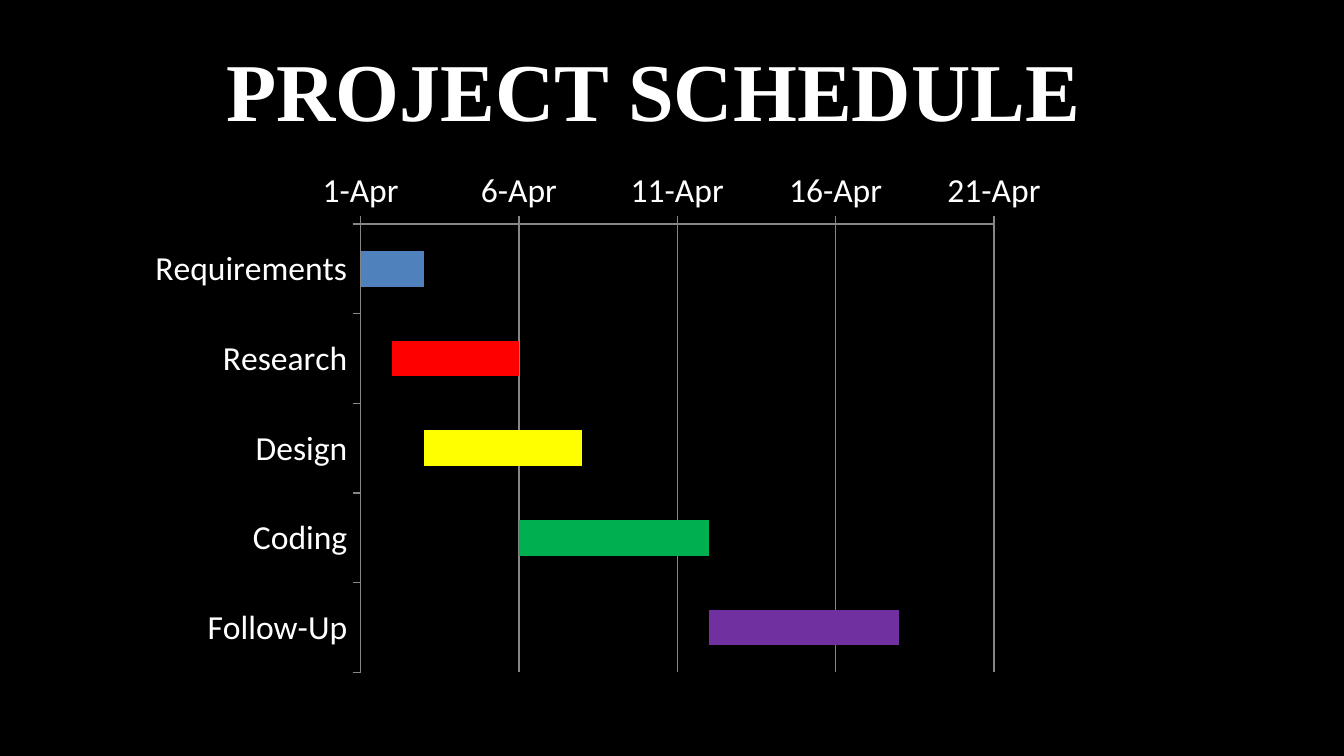
from lxml import etree
from pptx import Presentation
from pptx import util as u
from pptx.chart.data import CategoryChartData
from pptx.dml.color import RGBColor
from pptx.enum import chart as ch, text
from pptx.oxml import ns

WHITE, BLACK, GRAY = "FFFFFF", "000000", "868686"
START = 45383  # 1 April as a date serial number
DAYS_PER_TICK = 5

# Task name, first day counted from START, length in days, bar colour
TASKS = [
    ("Requirements", 0, 2, "4F81BD"),
    ("Research", 1, 4, "FF0000"),
    ("Design", 2, 5, "FFFF00"),
    ("Coding", 5, 6, "00B050"),
    ("Follow-Up", 11, 6, "7030A0"),
]


def rgb(value):
    return RGBColor.from_string(value)


class Deck:
    title_font, body_font = "Times New Roman", "Calibri"
    title_size, body_size = 44, 18

    def __init__(self, prs):
        self.s = prs.slides.add_slide(prs.slide_layouts[5])
        fill = self.s.background.fill
        fill.solid()
        fill.fore_color.rgb = rgb(BLACK)

    def style(self, font, name, size, bold=False):
        font.name, font.size, font.bold = name, u.Pt(size), bold
        font.color.rgb = rgb(WHITE)

    def title(self, words, x, y, w, h):
        sp = self.s.shapes.title
        sp.left, sp.top, sp.width, sp.height = map(u.Pt, (x, y, w, h))
        tf = sp.text_frame
        tf.text = words
        tf.word_wrap = True
        tf.auto_size = text.MSO_AUTO_SIZE.NONE
        tf.vertical_anchor = text.MSO_ANCHOR.TOP
        p = tf.paragraphs[0]
        p.alignment = text.PP_ALIGN.LEFT
        self.style(p.runs[0].font, self.title_font, self.title_size, True)

    def axis(self, axis):
        axis.major_tick_mark = ch.XL_TICK_MARK.OUTSIDE
        axis.minor_tick_mark = ch.XL_TICK_MARK.NONE
        axis.format.line.color.rgb = rgb(GRAY)
        axis.format.line.width = u.Pt(0.75)
        self.style(axis.tick_labels.font, self.body_font, self.body_size)

    def plot_area(self, chart, **box):
        area = chart.element.find(".//" + ns.qn("c:plotArea"))
        for old in area.findall(ns.qn("c:layout")):
            area.remove(old)
        layout = etree.Element(ns.qn("c:layout"))
        manual = etree.SubElement(layout, ns.qn("c:manualLayout"))
        settings = dict(layoutTarget="inner", xMode="edge", yMode="edge", **box)
        for tag, value in settings.items():
            etree.SubElement(manual, ns.qn("c:" + tag)).set("val", str(value))
        area.insert(0, layout)

    def gantt(self, tasks, x, y, w, h):
        names, starts, lengths, colors = zip(*tasks)
        data = CategoryChartData()
        data.categories = names
        data.add_series("Series 1", [START + day for day in starts])
        data.add_series("Series 2", lengths)
        chart = self.s.shapes.add_chart(
            ch.XL_CHART_TYPE.BAR_STACKED, *map(u.Pt, (x, y, w, h)), data).chart
        chart.has_legend = chart.has_title = False
        self.style(chart.font, self.body_font, self.body_size)

        # Bars: the first series only pushes the second to its start date
        plot = chart.plots[0]
        plot.gap_width, plot.overlap = 150, 100
        plot.vary_by_categories = False
        offset, bars = plot.series
        offset.format.fill.background()
        offset.format.line.fill.background()
        for i, color in enumerate(colors):
            fill = bars.points[i].format.fill
            fill.solid()
            fill.fore_color.rgb = rgb(color)

        # Axes: first task on top, one date every five days
        self.axis(chart.category_axis)
        chart.category_axis.reverse_order = True
        dates = chart.value_axis
        self.axis(dates)
        dates.minimum_scale = START
        dates.maximum_scale = START + 4 * DAYS_PER_TICK
        dates.major_unit = DAYS_PER_TICK
        dates.tick_labels.number_format = r"[$-409]d\-mmm;@"
        dates.tick_labels.number_format_is_linked = False
        dates.has_major_gridlines = True
        line = dates.major_gridlines.format.line
        line.color.rgb, line.width = rgb(GRAY), u.Pt(0.75)
        self.plot_area(chart, x=0.2, y=0.17, w=0.56, h=0.77)


def main():
    prs = Presentation()
    prs.slide_width, prs.slide_height = u.Pt(720), u.Pt(405)
    deck = Deck(prs)
    deck.gantt(TASKS, 72, 67, 606, 312)
    deck.title("PROJECT SCHEDULE", 114, 17.5, 576, 60.5)
    prs.save("out.pptx")


if __name__ == "__main__":
    main()
